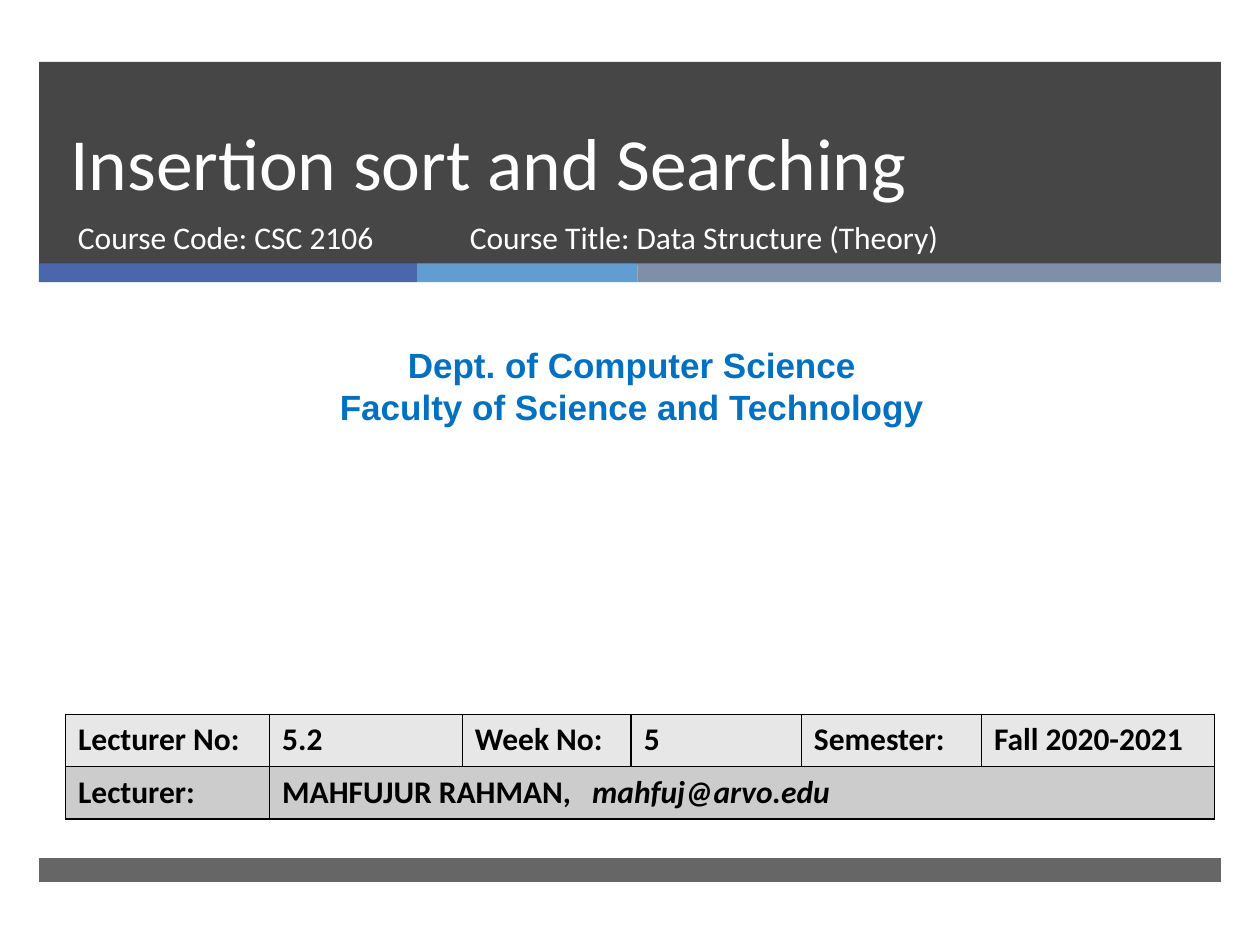
from lxml import etree
from pptx import Presentation
from pptx.dml.color import RGBColor
from pptx.enum.shapes import MSO_SHAPE
from pptx.enum.text import MSO_ANCHOR, PP_ALIGN
from pptx.oxml.ns import qn
from pptx.util import Inches, Pt

RECT = MSO_SHAPE.RECTANGLE
BOTTOM, TOP = MSO_ANCHOR.BOTTOM, MSO_ANCHOR.TOP
LEFT, CENTER = PP_ALIGN.LEFT, PP_ALIGN.CENTER

WHITE = RGBColor(0xFF, 0xFF, 0xFF)
BLACK = RGBColor(0, 0, 0)
DARK = RGBColor(0x26, 0x26, 0x26)
NAVY = RGBColor(0x4A, 0x66, 0xAC)
SKY = RGBColor(0x62, 0x9D, 0xD1)
SLATE = RGBColor(0x7F, 0x8F, 0xA9)
BLUE = RGBColor(0x00, 0x70, 0xC0)
PALE = RGBColor(0xE7, 0xE7, 0xE7)
GREY = RGBColor(0xCC, 0xCC, 0xCC)


def style(par, size, color, font="Calibri", bold=False):
    for run in par.runs:
        run.font.size = Pt(size)
        run.font.name = font
        run.font.bold = bold
        run.font.color.rgb = color


def add_bar(slide, x, y, w, h, color, alpha=100):
    bar = slide.shapes.add_shape(RECT, Inches(x), Inches(y), Inches(w), Inches(h))
    bar.shadow.inherit = False
    bar.fill.solid()
    bar.fill.fore_color.rgb = color
    bar.line.fill.background()
    if alpha < 100:
        tint = bar.fill._xPr.find(".//" + qn("a:srgbClr"))
        etree.SubElement(tint, qn("a:alpha")).set("val", str(alpha * 1000))


def add_text(slide, x, y, w, h, text, size, color, font="Calibri",
             bold=False, align=LEFT, anchor=TOP, pitch=None):
    box = slide.shapes.add_textbox(Inches(x), Inches(y), Inches(w), Inches(h))
    frame = box.text_frame
    frame.word_wrap = True
    frame.vertical_anchor = anchor
    frame.text = text
    for par in frame.paragraphs:
        par.alignment = align
        if pitch:
            par.line_spacing = Pt(pitch)
        style(par, size, color, font, bold)


def add_header(slide, x, y, w):
    # Dark panel with a three-colour stripe along its foot
    add_bar(slide, x, y, w, 1.61, DARK, 85)
    left = x
    for width, color in ((3, NAVY), (1.75, SKY), (w - 4.75, SLATE)):
        add_bar(slide, left, y + 1.6, width, 0.15, color)
        left += width
    # Title and course details
    add_text(slide, x + 0.15, y, 8.54, 1.19, "Insertion sort and Searching",
             42, WHITE, anchor=BOTTOM, pitch=46)
    add_text(slide, x + 0.21, y + 1.19, 3.05, 0.53, "Course Code: CSC 2106", 18, WHITE)
    add_text(slide, x + 3.32, y + 1.19, 4.55, 0.53,
             "Course Title: Data Structure (Theory)", 18, WHITE)


def add_border(cell):
    props = cell._tc.get_or_add_tcPr()
    for spot, side in enumerate(("lnL", "lnR", "lnT", "lnB")):
        line = etree.Element(qn("a:" + side), w=str(Pt(1)))
        fill = etree.SubElement(line, qn("a:solidFill"))
        etree.SubElement(fill, qn("a:srgbClr"), val=str(BLACK))
        props.insert(spot, line)


def add_details(slide, x, y):
    widths = (1.62, 1.53, 1.34, 1.35, 1.43, 1.85)
    rows = (
        ("Lecturer No:", "5.2", "Week No:", "5", "Semester:", "Fall 2020-2021"),
        ("Lecturer:", "MAHFUJUR RAHMAN,\t", "", "", "", ""),
    )
    table = slide.shapes.add_table(len(rows), len(widths), Inches(x), Inches(y),
                                   Inches(sum(widths)), Inches(0.83)).table
    for col, width in zip(table.columns, widths):
        col.width = Inches(width)
    for r, (row, shade) in enumerate(zip(rows, (PALE, GREY))):
        for c, text in enumerate(row):
            cell = table.cell(r, c)
            if text:
                cell.text_frame.text = text
            cell.fill.solid()
            cell.fill.fore_color.rgb = shade
            add_border(cell)
            style(cell.text_frame.paragraphs[0], 18, BLACK, bold=True)
    # Lecturer name and address share one wide cell, parted by a tab stop
    wide = table.cell(1, 1)
    wide.merge(table.cell(1, len(widths) - 1))
    par = wide.text_frame.paragraphs[0]
    mail = par.add_run()
    mail.text = "mahfuj@arvo.edu"
    style(par, 18, BLACK, bold=True)
    mail.font.italic = True
    tabs = etree.SubElement(par._p.get_or_add_pPr(), qn("a:tabLst"))
    etree.SubElement(tabs, qn("a:tab"), pos=str(Inches(2.46)), algn="l")


def main():
    deck = Presentation()
    deck.slide_width, deck.slide_height = Inches(10), Inches(7.5)
    slide = deck.slides.add_slide(deck.slide_layouts[6])
    add_header(slide, 0.31, 0.49, 9.38)
    # Department
    add_text(slide, 0.08, 2.68, 9.87, 0.77,
             "Dept. of Computer Science\nFaculty of Science and Technology",
             20, BLUE, "Arial", True, CENTER, pitch=24)
    add_details(slide, 0.52, 5.67)
    # Footer bar
    add_bar(slide, 0.31, 6.81, 9.38, 0.19, DARK, 70)
    deck.save("out.pptx")


if __name__ == "__main__":
    main()
